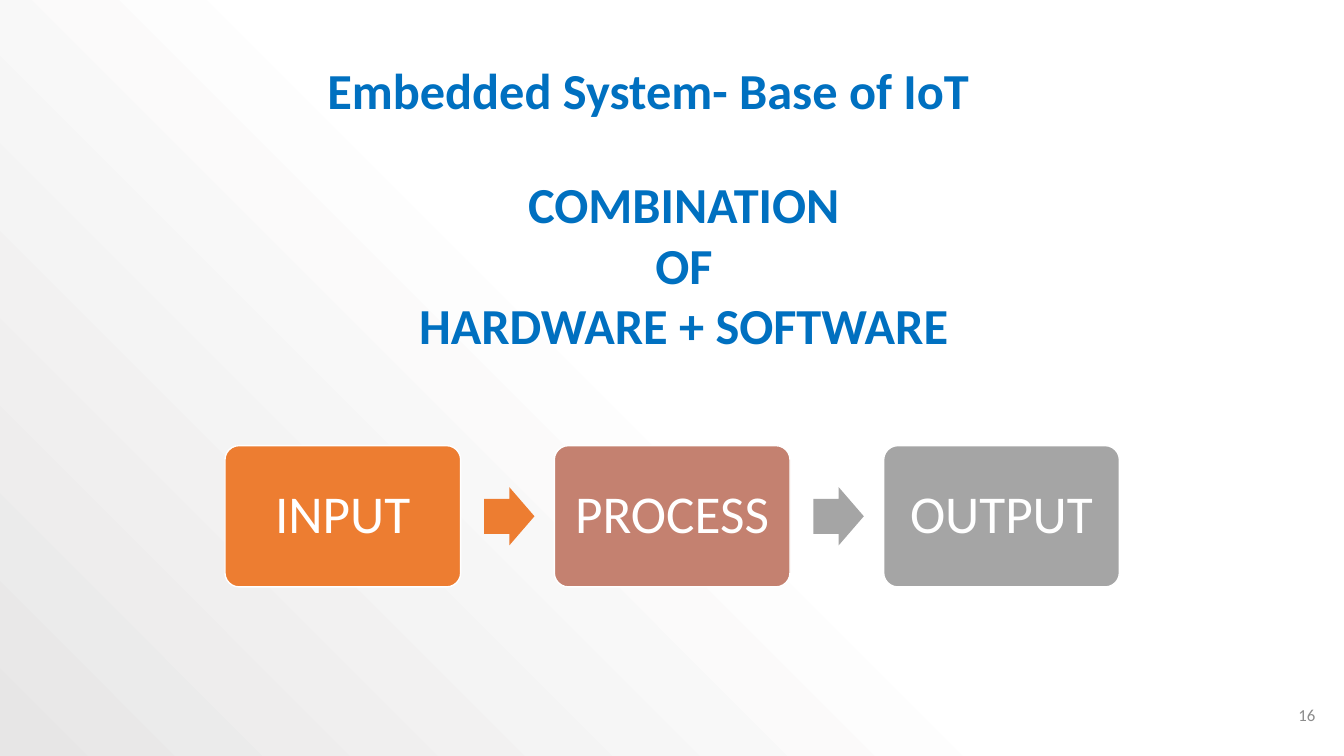
from dataclasses import dataclass

from pptx import Presentation
from pptx.dml.color import RGBColor
from pptx.enum.shapes import MSO_SHAPE as Kind
from pptx.enum.text import MSO_ANCHOR as Anchor, MSO_AUTO_SIZE as Fit, PP_ALIGN as Align
from pptx.oxml import parse_xml
from pptx.oxml.ns import nsdecls, qn
from pptx.shapes.autoshape import Shape
from pptx.slide import Slide
from pptx.text.text import TextFrame
from pptx.util import Cm, Pt

FONT = "Calibri"
COLORS = {
    "white": "FFFFFF",
    "shade": "E7E6E6",
    "blue": "0070C0",
    "orange": "ED7D31",
    "rose": "C48170",
    "grey": "A5A5A5",
    "number": "8C8C8C",
}


@dataclass
class Text:
    lines: list[str]
    left: float
    top: float
    width: float
    height: float
    size: int
    color: str
    align: Align = Align.LEFT
    bold: bool = True
    grow: bool = True
    inset: float | None = None


@dataclass
class Step:
    label: str
    color: str
    arrow: str | None = None


TEXTS = [
    Text(["16"], 31.12, 17.3, 2.03, 1.45, 12, "number", Align.RIGHT,
         bold=False, grow=False, inset=0),
    Text(["Embedded System- Base of IoT"], 8, 1.37, 19.69, 1.8, 36, "blue"),
    Text(["COMBINATION", "OF", "HARDWARE + SOFTWARE"],
         8.84, 4.24, 16.79, 4.88, 36, "blue", Align.CENTER),
]
STEPS = [
    Step("INPUT", "orange", "orange"),
    Step("PROCESS", "rose", "grey"),
    Step("OUTPUT", "grey"),
]
LEFT, TOP, WIDTH, HEIGHT, PITCH = 5.67, 11.23, 5.94, 3.56, 8.3
HEAD_W, HEAD_H, HEAD_DX = 1.27, 1.47, 6.53


def rgb(name: str) -> RGBColor:
    return RGBColor.from_string(COLORS[name])


def shade(slide: Slide) -> None:
    """Fill the background with a gradient spreading from the top right."""
    slide.background.fill.solid()
    stops = "".join(
        f'<a:gs pos="{pos}"><a:srgbClr val="{COLORS[name]}"/></a:gs>'
        for pos, name in ((0, "white"), (50000, "white"), (100000, "shade"))
    )
    grad = parse_xml(
        f'<a:gradFill {nsdecls("a")} rotWithShape="1"><a:gsLst>{stops}</a:gsLst>'
        '<a:path path="circle"><a:fillToRect l="100000" b="100000"/></a:path>'
        "</a:gradFill>"
    )
    back = slide.background._cSld.find(".//" + qn("p:bgPr"))
    back.replace(back[0], grad)


def inset(frame: TextFrame, gap: float) -> None:
    frame.margin_left = frame.margin_right = Cm(gap)
    frame.margin_top = frame.margin_bottom = Cm(gap)


def write(frame: TextFrame, lines: list[str], size: int, color: str,
          align: Align, bold: bool = False, space: float | None = None) -> None:
    for i, line in enumerate(lines):
        para = frame.add_paragraph() if i else frame.paragraphs[0]
        para.alignment = align
        para.line_spacing = space
        run = para.add_run()
        run.text = line
        font = run.font
        font.name, font.size, font.bold = FONT, Pt(size), bold
        font.color.rgb = rgb(color)


def add_text(slide: Slide, text: Text) -> None:
    box = slide.shapes.add_textbox(
        Cm(text.left), Cm(text.top), Cm(text.width), Cm(text.height))
    frame = box.text_frame
    frame.word_wrap = not text.grow
    frame.auto_size = Fit.SHAPE_TO_FIT_TEXT if text.grow else Fit.NONE
    frame.vertical_anchor = Anchor.TOP if text.grow else Anchor.MIDDLE
    if text.inset is not None:
        inset(frame, text.inset)
    write(frame, text.lines, text.size, text.color, text.align, text.bold)


def add_block(slide: Slide, kind: Kind, left: float, width: float,
              height: float, color: str, *adjust: float) -> Shape:
    """Add a filled shape centred on the row of steps."""
    top = TOP + (HEIGHT - height) / 2
    block = slide.shapes.add_shape(kind, Cm(left), Cm(top), Cm(width), Cm(height))
    block.shadow.inherit = False
    block.fill.solid()
    block.fill.fore_color.rgb = rgb(color)
    block.line.fill.background()
    for i, value in enumerate(adjust):
        block.adjustments[i] = value
    return block


def add_step(slide: Slide, step: Step, left: float) -> None:
    box = add_block(slide, Kind.ROUNDED_RECTANGLE, left, WIDTH, HEIGHT, step.color, 0.1)
    box.line.color.rgb = rgb("white")
    box.line.width = Pt(1)
    frame = box.text_frame
    frame.word_wrap = True
    frame.vertical_anchor = Anchor.MIDDLE
    inset(frame, 0.4)
    write(frame, [step.label], 38, "white", Align.CENTER, space=0.9)
    if step.arrow:
        add_block(slide, Kind.RIGHT_ARROW, left + HEAD_DX, HEAD_W, HEAD_H,
                  step.arrow, 0.6, 0.5)


def main() -> None:
    deck = Presentation()
    deck.slide_width, deck.slide_height = Cm(33.87), Cm(19.05)
    slide = deck.slides.add_slide(deck.slide_layouts[6])
    shade(slide)
    for text in TEXTS:
        add_text(slide, text)
    for i, step in enumerate(STEPS):
        add_step(slide, step, LEFT + i * PITCH)
    deck.save("out.pptx")


if __name__ == "__main__":
    main()
